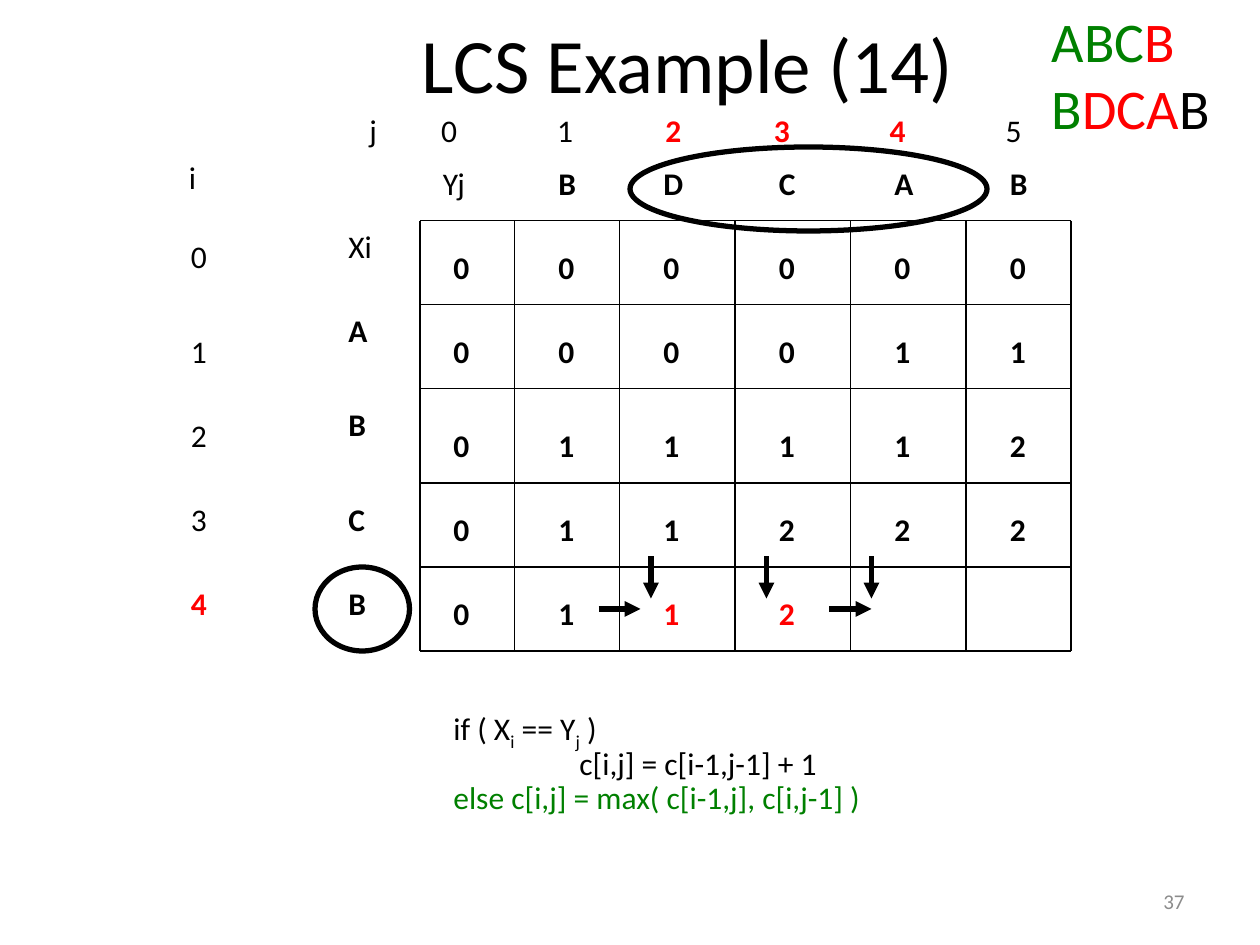
"""Build the longest common subsequence example slide on a 120 by 90 grid."""
from dataclasses import dataclass
from typing import NamedTuple

from lxml import etree
from pptx import Presentation
from pptx.dml.color import RGBColor
from pptx.enum.shapes import MSO_CONNECTOR, MSO_SHAPE
from pptx.enum.text import MSO_ANCHOR, PP_ALIGN
from pptx.oxml.ns import qn
from pptx.util import Inches, Pt

STRAIGHT, OVAL = MSO_CONNECTOR.STRAIGHT, MSO_SHAPE.OVAL
MIDDLE, CENTER, RIGHT = MSO_ANCHOR.MIDDLE, PP_ALIGN.CENTER, PP_ALIGN.RIGHT
BLACK = RGBColor(0x00, 0x00, 0x00)
RED = RGBColor(0xFF, 0x00, 0x00)
GREEN = RGBColor(0x00, 0x80, 0x00)
GRAY = RGBColor(0x8C, 0x8C, 0x8C)
FONT = "Calibri"
SLIDE_WIDTH, SLIDE_HEIGHT = Inches(10), Inches(7.5)
UNIT = SLIDE_WIDTH / 120

COLUMN_EDGES = (40, 49, 59, 70, 81, 92, 102)
ROW_EDGES = (21, 29, 37, 46, 54, 62)
COLUMN_TEXT = (42, 52, 62, 73, 84, 95)
ROW_TEXT = (23, 31, 40, 48, 56)
INDEX_TEXT = (22, 31, 39, 47, 55)
LETTER_TEXT = (21, 29, 38, 47, 55)
LENGTHS = ("000000", "000011", "011112", "011222", "0112")
CURRENT_ROW, CURRENT_COLUMNS = 4, (2, 3, 4)
J_TAB_STOPS = (0.57, 1.49, 2.35, 3.21, 4.13, 5.05)


class Box(NamedTuple):
    left: float
    top: float
    width: float
    height: float


class Span(NamedTuple):
    x1: float
    y1: float
    x2: float
    y2: float


@dataclass(frozen=True)
class Piece:
    text: str
    color: RGBColor = BLACK
    bold: bool = False
    subscript: bool = False


ARROWS = (
    Span(57, 58, 61, 58), Span(79, 58, 83, 58),
    Span(62, 53, 62, 57), Span(73, 53, 73, 57), Span(83, 53, 83, 57),
)
CIRCLES = (Box(30, 54, 9, 8), Box(60, 14, 34, 8))


def grid(*values: float) -> list[int]:
    return [round(value * UNIT) for value in values]


def write(paragraph, pieces: list[Piece], size: float) -> None:
    for piece in pieces:
        run = paragraph.add_run()
        run.text = piece.text
        run.font.name, run.font.size = FONT, Pt(size)
        run.font.bold = piece.bold
        run.font.color.rgb = piece.color
        if piece.subscript:
            run.font._element.set("baseline", "-25000")


def add_text(slide, box: Box, lines: list[list[Piece]], size: float = 18, wrap: bool = True):
    frame = slide.shapes.add_textbox(*grid(*box)).text_frame
    frame.word_wrap = wrap
    for number, pieces in enumerate(lines):
        paragraph = frame.add_paragraph() if number else frame.paragraphs[0]
        write(paragraph, pieces, size)
    return frame


def add_label(slide, left: float, top: float, piece: Piece) -> None:
    width = 4.5 if piece.text.isdigit() else 5.3
    add_text(slide, Box(left, top, width, 6), [[piece]], wrap=False)


def add_line(slide, span: Span, width: float = 0.75, arrow: bool = False) -> None:
    connector = slide.shapes.add_connector(STRAIGHT, *grid(*span))
    connector.line.color.rgb = BLACK
    connector.line.width = Pt(width)
    if arrow:
        etree.SubElement(connector.line._get_or_add_ln(), qn("a:tailEnd"), type="triangle")
    etree.SubElement(connector._element.spPr, qn("a:effectLst"))


def add_circle(slide, box: Box) -> None:
    circle = slide.shapes.add_shape(OVAL, *grid(*box))
    circle.shadow.inherit = False
    circle.fill.background()
    circle.line.color.rgb = BLACK
    circle.line.width = Pt(3)


def add_title(slide, text: str) -> None:
    title = slide.shapes.title
    title.left, title.top, title.width, title.height = grid(11, 0, 109, 12)
    title.text_frame.vertical_anchor = MIDDLE
    heading = title.text_frame.paragraphs[0]
    heading.alignment = CENTER
    write(heading, [Piece(text)], 44)


def add_headings(slide) -> None:
    j_pieces = [Piece("j\t0\t1\t"), Piece("2\t3\t4", RED, True), Piece("\t5")]
    j_row = add_text(slide, Box(34, 10, 66.5, 4.8), [j_pieces])
    tabs = etree.SubElement(j_row.paragraphs[0]._p.get_or_add_pPr(), qn("a:tabLst"))
    for stop in J_TAB_STOPS:
        etree.SubElement(tabs, qn("a:tab"), pos=str(Inches(stop)), algn="l")
    add_label(slide, 16.8, 14.5, Piece("i"))
    for number, top in enumerate(INDEX_TEXT):
        current = number == CURRENT_ROW
        add_label(slide, 17, top, Piece(str(number), RED if current else BLACK, current))
    for letter, top in zip(("Xi", *"ABCB"), LETTER_TEXT):
        add_label(slide, 32, top, Piece(letter, bold=letter != "Xi"))
    for letter, left in zip(("Yj", *"BDCAB"), (41, *COLUMN_TEXT[1:])):
        add_label(slide, left, 15, Piece(letter, bold=letter != "Yj"))


def add_matrix(slide) -> None:
    for x in COLUMN_EDGES:
        add_line(slide, Span(x, ROW_EDGES[0], x, ROW_EDGES[-1]))
    for y in ROW_EDGES:
        add_line(slide, Span(COLUMN_EDGES[0], y, COLUMN_EDGES[-1], y))
    for row, (top, values) in enumerate(zip(ROW_TEXT, LENGTHS)):
        for column, (left, value) in enumerate(zip(COLUMN_TEXT, values)):
            current = row == CURRENT_ROW and column in CURRENT_COLUMNS
            add_label(slide, left, top, Piece(value, RED if current else BLACK, True))


def add_rule(slide) -> None:
    condition = [
        Piece("if ( X"), Piece("i", subscript=True),
        Piece(" == Y"), Piece("j", subscript=True), Piece(" )"),
    ]
    match = [Piece("c[i,j] = c[i-1,j-1] + 1")]
    otherwise = [Piece("else c[i,j] = max( c[i-1,j], c[i,j-1] )", GREEN)]
    rule = add_text(slide, Box(18, 67, 81, 14), [condition, match, otherwise])
    for paragraph, indent in zip(rule.paragraphs, (2, 3, 2)):
        paragraph.line_spacing = 0.9
        paragraph._p.get_or_add_pPr().set("marL", str(Inches(indent)))


def main() -> None:
    deck = Presentation()
    deck.slide_width, deck.slide_height = SLIDE_WIDTH, SLIDE_HEIGHT
    slide = deck.slides.add_slide(deck.slide_layouts[5])
    add_title(slide, "LCS Example (14)")
    add_matrix(slide)
    add_headings(slide)
    add_rule(slide)
    for arrow in ARROWS:
        add_line(slide, arrow, 3, arrow=True)
    for circle in CIRCLES:
        add_circle(slide, circle)
    first = [Piece("ABC", GREEN), Piece("B", RED)]
    second = [Piece("B", GREEN), Piece("DCA", RED), Piece("B")]
    add_text(slide, Box(99, 0, 21, 14), [first, second], 32)
    page = add_text(slide, Box(86, 83.4, 28, 4.8), [[Piece("37", GRAY)]], 12)
    page.vertical_anchor = MIDDLE
    page.paragraphs[0].alignment = RIGHT
    deck.save("out.pptx")


if __name__ == "__main__":
    main()
